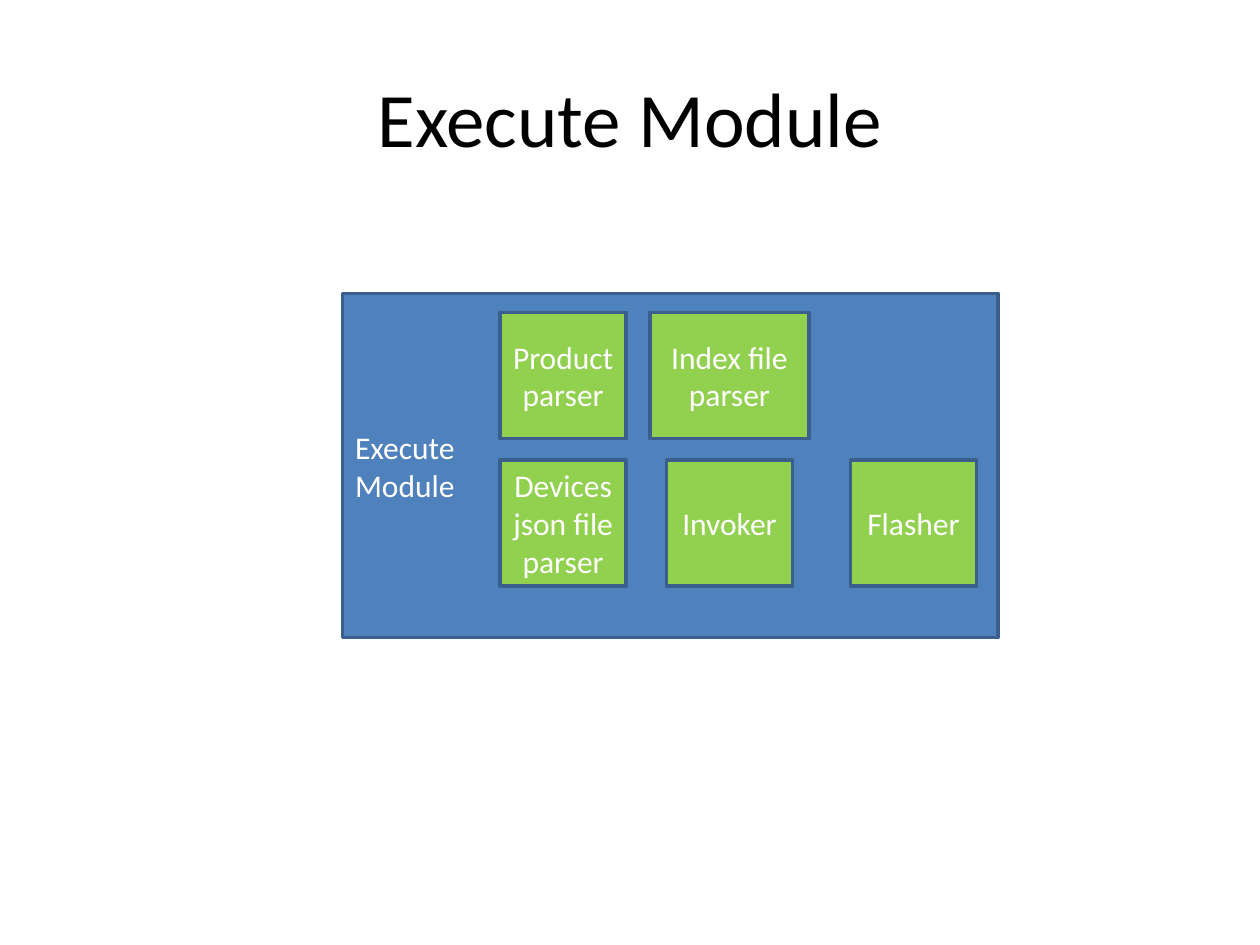
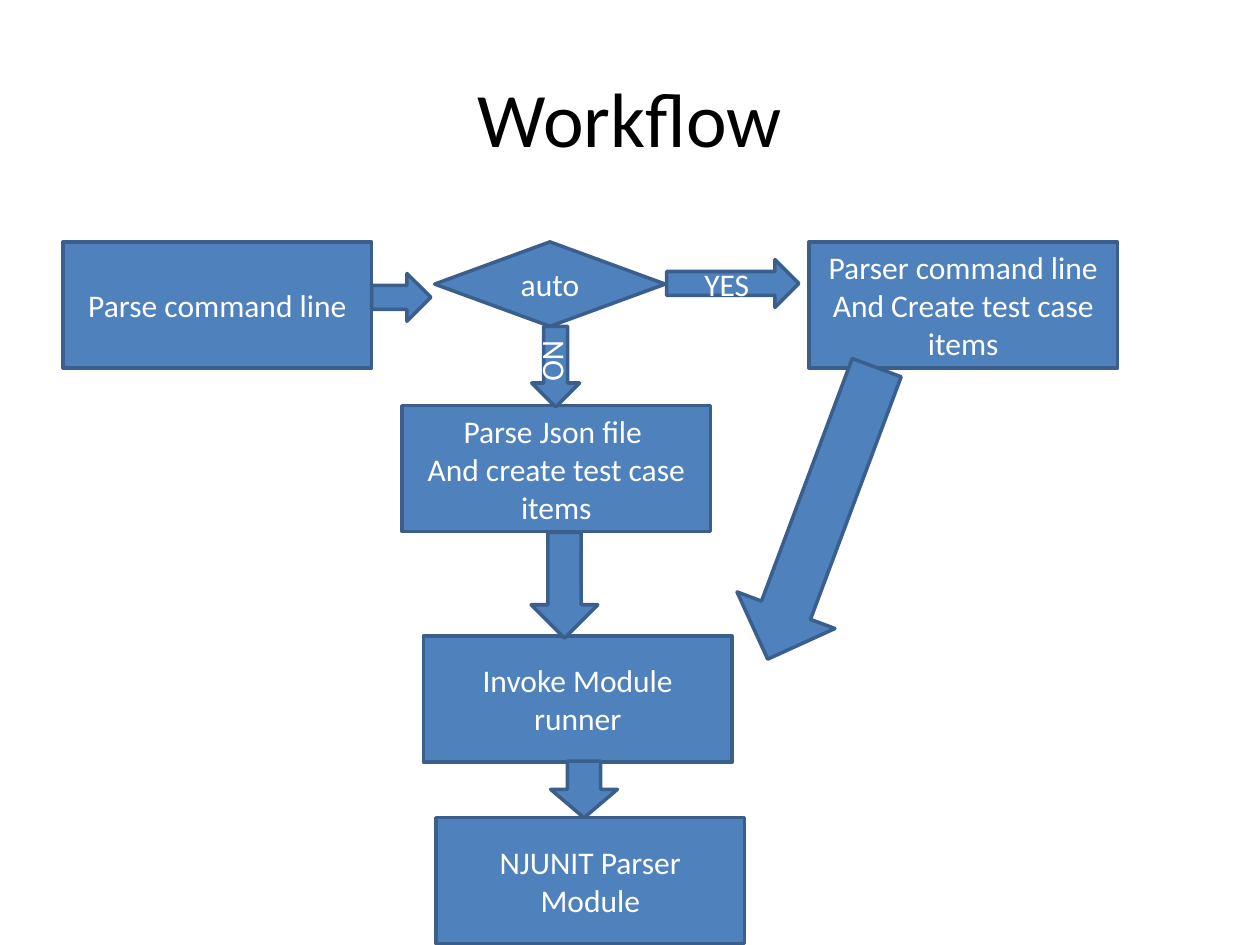
import pptx
import pptx.util
import pptx.dml.color
import pptx.enum.shapes
import pptx.enum.text

Pt = pptx.util.Pt
SHAPE = pptx.enum.shapes.MSO_SHAPE
ALIGN = pptx.enum.text.PP_ALIGN
ANCHOR = pptx.enum.text.MSO_ANCHOR

COLOURS = {
    "module": "4F81BD",
    "part": "92D050",
    "outline": "3A5F8C",
    "title": "000000",
    "label": "FFFFFF",
}


class Deck:
    """Holds the shared style and the slide being drawn."""

    font = "Calibri"
    title_size = 44
    label_size = 18
    outline_width = 2

    def __init__(self):
        self.prs = pptx.Presentation()
        self.prs.slide_width, self.prs.slide_height = Pt(720), Pt(540)
        self.slide = None

    def colour(self, name):
        return pptx.dml.color.RGBColor.from_string(COLOURS[name])

    def new_slide(self, title):
        self.slide = self.prs.slides.add_slide(self.prs.slide_layouts[6])
        heading = self.slide.shapes.add_textbox(Pt(36), Pt(21.6), Pt(648), Pt(90))
        self.add_lines(heading, [title], self.title_size, "title")

    def add_lines(self, shape, lines, size, colour, align=ALIGN.CENTER):
        frame = shape.text_frame
        frame.word_wrap = True
        frame.vertical_anchor = ANCHOR.MIDDLE
        for number, line in enumerate(lines):
            paragraph = frame.add_paragraph() if number else frame.paragraphs[0]
            paragraph.alignment = align
            run = paragraph.add_run()
            run.text = line
            run.font.name = self.font
            run.font.size = Pt(size)
            run.font.color.rgb = self.colour(colour)

    def box(self, left, top, width, height, lines=(), fill="module",
            kind=SHAPE.RECTANGLE, align=ALIGN.CENTER):
        shape = self.slide.shapes.add_shape(
            kind, Pt(left), Pt(top), Pt(width), Pt(height))
        shape.shadow.inherit = False
        shape.fill.solid()
        shape.fill.fore_color.rgb = self.colour(fill)
        shape.line.color.rgb = self.colour("outline")
        shape.line.width = Pt(self.outline_width)
        self.add_lines(shape, lines, self.label_size, "label", align)
        return shape

    def arrow(self, centre_x, centre_y, length, thickness, angle=0, lines=()):
        shape = self.box(centre_x - length / 2, centre_y - thickness / 2,
                         length, thickness, lines, kind=SHAPE.RIGHT_ARROW)
        shape.rotation = angle


deck = Deck()

# Execute module: one container with its parts in columns, centred
deck.new_slide("Execute Module")
deck.box(195.84, 167.76, 374.4, 196.56, ["Execute ", "Module"], align=ALIGN.LEFT)

PART = 72
parser_column, invoker_column, flasher_column = 321.84, 416.88, 522
upper_row, lower_row = 178.56, 262.8
parts = [
    (parser_column, upper_row, PART, ["Product parser"]),
    (invoker_column, upper_row, 90.72, ["Index file", "parser"]),
    (parser_column, lower_row, PART, ["Devices json file", "parser"]),
    (invoker_column, lower_row, PART, ["Invoker"]),
    (flasher_column, lower_row, PART, ["Flasher"]),
]
for centre, top, width, lines in parts:
    deck.box(centre - width / 2, top, width, PART, lines, fill="part")

# Workflow: steps of one size
deck.new_slide("Workflow")
STEP_WIDTH, STEP_HEIGHT = 176.4, 72
first_row = 138.24
steps = [
    (36, first_row, ["Parse command line"]),
    (229.68, 231.84, ["Parse Json file ", "And create test case items"]),
    (462.24, first_row, ["Parser command line", "And Create test case items"]),
    (241.92, 363.6, ["Invoke Module runner"]),
    (249.12, 467.28, ["NJUNIT Parser Module"]),
]
for left, top, lines in steps:
    deck.box(left, top, STEP_WIDTH, STEP_HEIGHT, lines)
deck.box(248.4, first_row, 131.76, 48.24, ["auto"], kind=SHAPE.FLOWCHART_DECISION)

# Arrows, placed by their centres
THIN, MEDIUM, THICK = 27.36, 38.16, 59.76
DOWN = 90
deck.arrow(229.32, 169.92, 33.84, THIN)
deck.arrow(418.68, 162, 75.6, THIN, lines=["YES"])
deck.arrow(317.52, 209.52, 46.08, THIN, DOWN, ["NO"])
deck.arrow(322.56, 334.44, 60.48, MEDIUM, DOWN)
deck.arrow(469.8, 293.4, 177.84, THICK, 110.5)
deck.arrow(333.72, 451.08, 32.4, MEDIUM, DOWN)

deck.prs.save("out.pptx")
